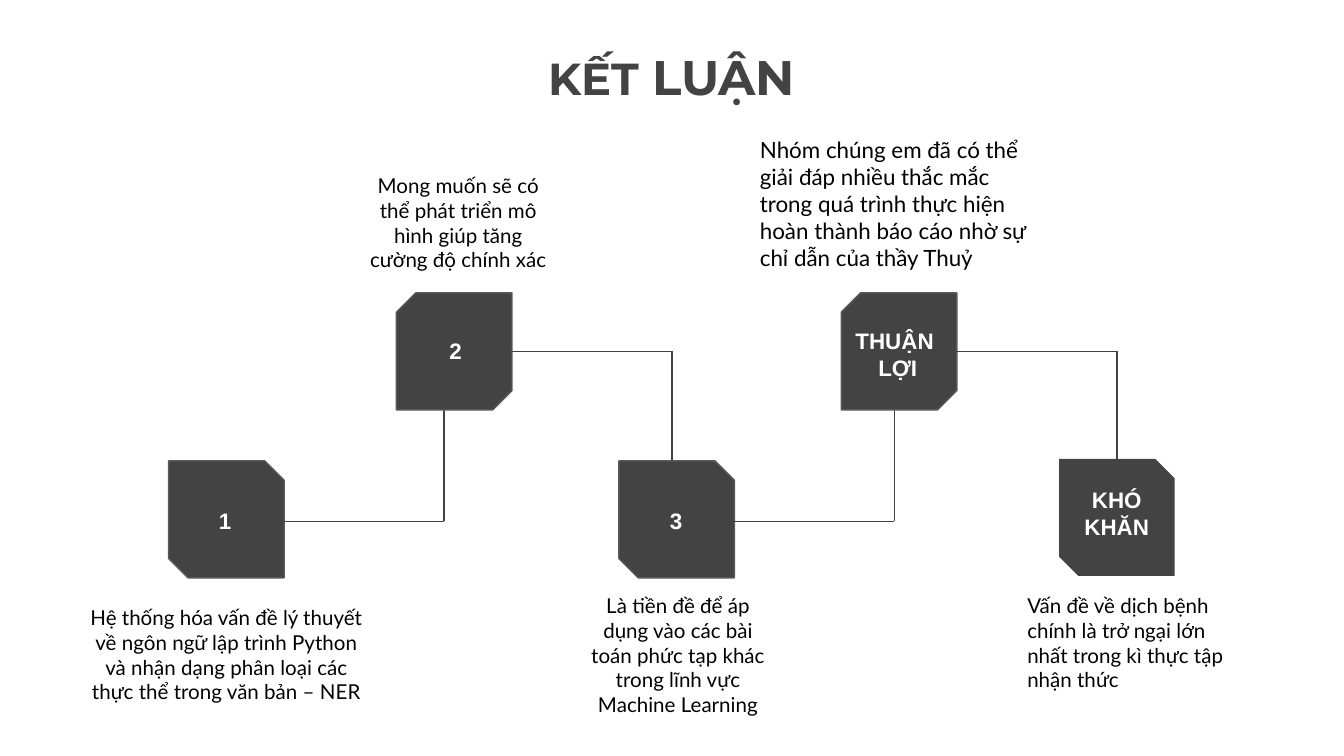
import lxml.etree
import pptx
import pptx.dml.color
import pptx.enum.shapes
import pptx.enum.text
import pptx.oxml.ns
import pptx.util

ALIGN = pptx.enum.text.PP_ALIGN
ANCHOR = pptx.enum.text.MSO_ANCHOR
SHAPE = pptx.enum.shapes.MSO_SHAPE
DARK, EDGE, WHITE, BLACK = "434343", "595959", "FFFFFF", "000000"

WIDTH = pptx.util.Inches(10)
HEIGHT = WIDTH * 9 // 16
COLUMNS = 100
SQUARE_W, SQUARE_H = 8.6, 8.7
LINK_X, LINK_RUN, LINK_RISE = 4.1, 16.4, 10
LOW, HIGH = 34.3, 21.8

STEPS = [
    dict(box=(12.55, LOW), label="1", label_at=(-0.1, 2.45), link_y=4.5, rise=-LINK_RISE,
         note="Hệ thống hóa vấn đề lý thuyết về ngôn ngữ lập trình Python "
              "và nhận dạng phân loại các thực thể trong văn bản – NER",
         note_box=(-6.85, 9.75, 22.3, 9.6)),
    dict(box=(29.5, HIGH), label="2", label_at=(0.1, 2.3), link_y=4.35, rise=LINK_RISE,
         note="Mong muốn sẽ có thể phát triển mô hình giúp tăng cường độ chính xác",
         note_box=(-3.1, -9.9, 15.4, 6.6)),
    dict(box=(46.05, LOW), label="3", label_at=(-0.05, 2.45), link_y=4.5, rise=-LINK_RISE,
         note="Là tiền đề để áp dụng vào các bài toán phức tạp khác "
              "trong lĩnh vực Machine Learning",
         note_box=(-3.3, 8.85, 15.4, 6.6)),
    dict(box=(62.6, HIGH), label="THUẬN \nLỢI", label_at=(-0.1, 2.35), link_y=4.35, rise=LINK_RISE,
         note="Nhóm chúng em đã có thể giải đáp nhiều thắc mắc trong quá trình "
              "thực hiện hoàn thành báo cáo nhờ sự chỉ dẫn của thầy Thuỷ",
         note_box=(-7.05, -12.65, 22.5, 13.2), size=12, align=ALIGN.LEFT),
    dict(box=(78.8, LOW - 0.15), label="KHÓ KHĂN", label_at=(0, 1.05),
         note="Vấn đề về dịch bệnh chính là trở ngại lớn nhất trong kì thực tập nhận thức",
         note_box=(-3.35, 9, 17.9, 6.6), align=ALIGN.LEFT),
]


def color(value):
    return pptx.dml.color.RGBColor.from_string(value)


def grid(*cells):
    return [round(c * WIDTH / COLUMNS) for c in cells]


def style_run(r, font, size, hex_color, bold=False):
    r.font.name = font
    r.font.size = pptx.util.Pt(size)
    r.font.bold = bold
    r.font.color.rgb = color(hex_color)


def set_frame(tf, anchor):
    tf.word_wrap = True
    tf.auto_size = pptx.enum.text.MSO_AUTO_SIZE.NONE
    tf.vertical_anchor = anchor
    tf.margin_left = tf.margin_right = tf.margin_top = tf.margin_bottom = pptx.util.Inches(0.1)


def add_text(slide, box, text, font, size, hex_color, bold=False,
             align=ALIGN.CENTER, anchor=ANCHOR.TOP):
    tf = slide.shapes.add_textbox(*grid(*box)).text_frame
    set_frame(tf, anchor)
    tf.text = text
    for p in tf.paragraphs:
        p.alignment = align
        for r in p.runs:
            style_run(r, font, size, hex_color, bold)


def add_line(slide, start, end):
    line = slide.shapes.add_connector(
        pptx.enum.shapes.MSO_CONNECTOR.STRAIGHT, *grid(*start, *end))
    line.line.color.rgb = color(DARK)
    line.line.width = pptx.util.Pt(0.75)
    lxml.etree.SubElement(line._element.spPr, pptx.oxml.ns.qn("a:effectLst"))


def add_title(slide, box):
    title = slide.shapes.title
    title.left, title.top, title.width, title.height = grid(*box)
    tf = title.text_frame
    set_frame(tf, ANCHOR.TOP)
    p = tf.paragraphs[0]
    p.alignment = ALIGN.CENTER
    for text, size in (("KẾT ", 24), ("LUẬN", 26)):
        r = p.add_run()
        r.text = text
        style_run(r, "Montserrat", size, DARK, True)


def add_step(slide, box, label, label_at, note, note_box,
             link_y=0, rise=0, size=11, align=ALIGN.CENTER):
    x, y = box
    sp = slide.shapes.add_shape(SHAPE.SNIP_2_DIAG_RECTANGLE, *grid(x, y, SQUARE_W, SQUARE_H))
    sp.shadow.inherit = False
    sp.adjustments[0], sp.adjustments[1] = (0.167, 0) if rise > 0 else (0, 0.167)
    sp.fill.solid()
    sp.fill.fore_color.rgb = color(DARK)
    if rise:
        sp.line.color.rgb = color(EDGE)
        sp.line.width = pptx.util.Pt(0.75)
        start = (x + LINK_X, y + link_y)
        corner = (start[0] + LINK_RUN, start[1])
        add_line(slide, start, corner)
        add_line(slide, corner, (corner[0], corner[1] + rise))
    else:
        sp.line.fill.background()
    anchor = ANCHOR.MIDDLE if "\n" in label else ANCHOR.TOP
    add_text(slide, (x + label_at[0], y + label_at[1], SQUARE_W, SQUARE_H / 2),
             label, "Arial", 12, WHITE, True, anchor=anchor)
    dx, dy, w, h = note_box
    add_text(slide, (x + dx, y + dy, w, h), note, "Lato", size, BLACK, align=align)


def main():
    prs = pptx.Presentation()
    prs.slide_width, prs.slide_height = WIDTH, HEIGHT
    slide = prs.slides.add_slide(prs.slide_layouts[5])
    add_title(slide, (21.5, 2.5, 57, 6.2))
    for step in STEPS:
        add_step(slide, **step)
    prs.save("out.pptx")


if __name__ == "__main__":
    main()
